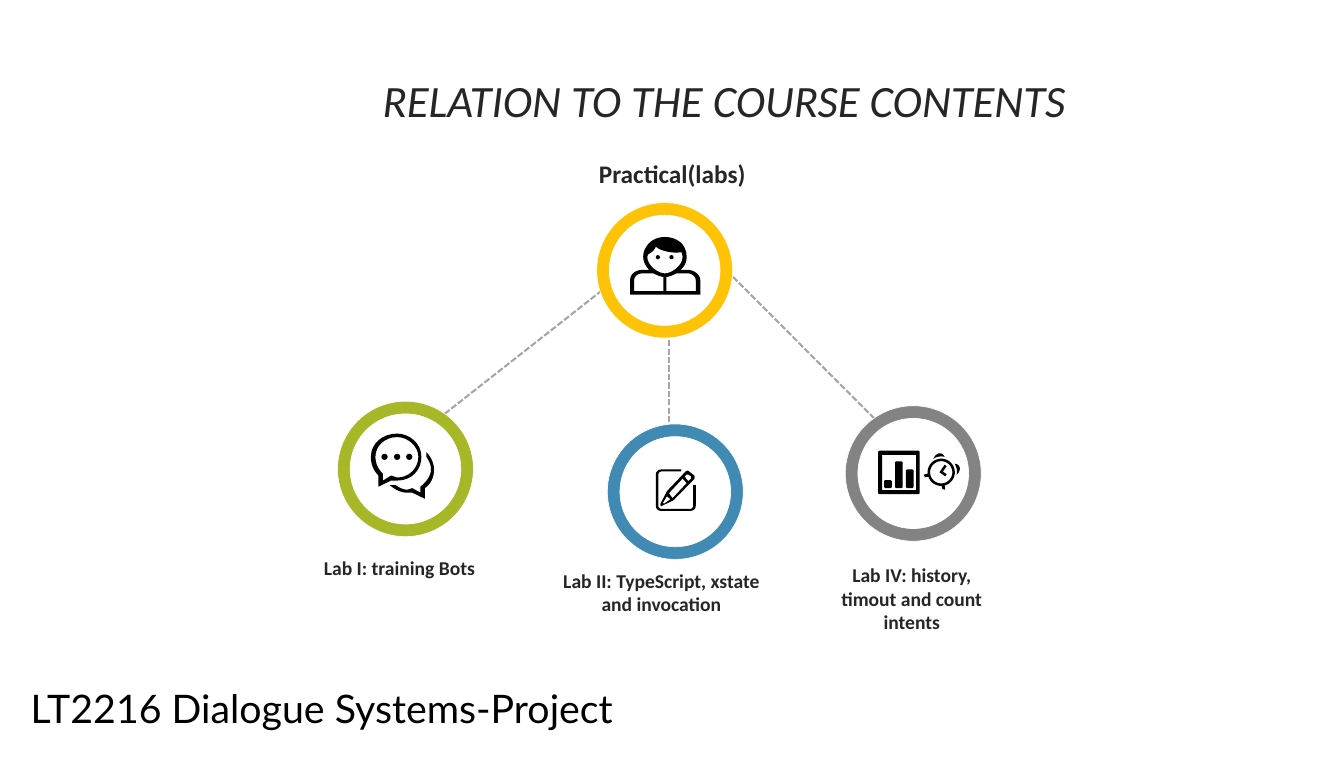
from dataclasses import dataclass
from math import cos, pi, sin

from lxml.etree import SubElement
from pptx import Presentation
from pptx.dml.color import RGBColor
from pptx.enum.dml import MSO_LINE
from pptx.enum.shapes import MSO_CONNECTOR, MSO_SHAPE
from pptx.enum.text import MSO_ANCHOR, MSO_AUTO_SIZE, PP_ALIGN
from pptx.oxml.ns import qn
from pptx.util import Inches, Pt


@dataclass(frozen=True)
class Theme:
    ink: str = "262626"
    black: str = "000000"
    white: str = "FFFFFF"
    dash: str = "A6A6A6"
    yellow: str = "FEC306"
    green: str = "A6B727"
    blue: str = "418AB3"
    gray: str = "838383"
    body_font: str = "Calibri"
    footer_font: str = "Lato"
    title_size: float = 63.8
    footer_size: float = 56
    heading_size: float = 36
    label_size: float = 27.9


THEME = Theme()
RING_SIZE = (2.69, 2.68)
RING_WIDTH = 0.25


def color(value):
    return RGBColor.from_string(value)


def flatten(*steps, samples=8):
    """Turn points and (control, control, end) cubic steps into a list of points."""
    points = []
    for step in steps:
        if len(step) == 2:
            points.append(step)
            continue
        controls = [points[-1], *zip(step[::2], step[1::2])]
        for index in range(1, samples + 1):
            t = index / samples
            weights = ((1 - t) ** 3, 3 * t * (1 - t) ** 2, 3 * t * t * (1 - t), t ** 3)
            points.append(tuple(sum(w * p[axis] for w, p in zip(weights, controls)) for axis in (0, 1)))
    return points


def disc(x, y, radius, samples=40):
    angles = [2 * pi * index / samples for index in range(samples)]
    return [(x + radius * cos(angle), y + radius * sin(angle)) for angle in angles]


def box(left, top, right, bottom, cut=0.02):
    return [(left + cut, top), (right - cut, top), (right, top + cut), (right, bottom - cut),
            (right - cut, bottom), (left + cut, bottom), (left, bottom - cut), (left, top + cut)]


def mirror(points, axis):
    return [(2 * axis - x, y) for x, y in points]


def person_icon():
    silhouette = flatten(
        (13.59, 5.34), (13.47, 5.34), (13.55, 5.27, 13.59, 5.18, 13.59, 5.08),
        (13.59, 4.82, 13.38, 4.69, 13.16, 4.69), (12.99, 4.69, 12.84, 4.77, 12.77, 4.92),
        (12.74, 4.96, 12.73, 5.05, 12.73, 5.08), (12.73, 5.18, 12.78, 5.27, 12.85, 5.34),
        (12.72, 5.34), (12.57, 5.34, 12.47, 5.43, 12.47, 5.55), (12.47, 5.83), (13.86, 5.83),
        (13.86, 5.55), (13.86, 5.43, 13.74, 5.34, 13.59, 5.34))
    face = flatten(
        (12.81, 5.08), (12.83, 5.03), (12.9, 5, 12.95, 4.95, 12.98, 4.88),
        (13.05, 4.95, 13.22, 5, 13.4, 5), (13.49, 4.99), (13.51, 5.08),
        (13.51, 5.26, 13.29, 5.41, 13.16, 5.41), (13.03, 5.41, 12.81, 5.26, 12.81, 5.08))
    shoulder = flatten(
        (12.55, 5.76), (12.55, 5.55), (12.55, 5.47, 12.62, 5.41, 12.72, 5.41), (12.93, 5.41),
        (13.01, 5.45, 13.09, 5.48, 13.13, 5.48), (13.13, 5.76))
    eyes = [disc(x, 5.09, 0.04) for x in (13.02, 13.29)]
    return [silhouette, face, shoulder, mirror(shoulder, 13.16), *eyes]


def chat_icon():
    bubble = flatten(
        (7.74, 9.51), (7.86, 9.51), (8.16, 9.51, 8.34, 9.29, 8.34, 9.04),
        (8.34, 8.77, 8.1, 8.58, 7.86, 8.58), (7.58, 8.58, 7.34, 8.77, 7.34, 9.04),
        (7.34, 9.2, 7.4, 9.32, 7.49, 9.41), (7.49, 9.63))
    opening = flatten(
        (7.43, 9.04), (7.43, 8.83, 7.61, 8.65, 7.86, 8.65), (8.07, 8.65, 8.28, 8.83, 8.28, 9.04),
        (8.28, 9.26, 8.1, 9.45, 7.86, 9.45), (7.74, 9.41), (7.58, 9.51), (7.58, 9.38),
        (7.49, 9.29, 7.43, 9.17, 7.43, 9.04))
    reply = flatten(
        (8.44, 8.95), (8.44, 9.04), (8.5, 9.14, 8.53, 9.2, 8.53, 9.29),
        (8.53, 9.41, 8.44, 9.54, 8.32, 9.63), (8.32, 9.75), (8.16, 9.66), (8.07, 9.69),
        (7.98, 9.69, 7.92, 9.66, 7.83, 9.6), (7.71, 9.6), (7.83, 9.69, 7.92, 9.75, 8.07, 9.75),
        (8.16, 9.75), (8.41, 9.87), (8.41, 9.66), (8.53, 9.57, 8.59, 9.45, 8.59, 9.29),
        (8.59, 9.17, 8.53, 9.04, 8.44, 8.95))
    dots = [disc(x, 9.04, 0.06) for x in (7.61, 7.86, 8.1)]
    return [bubble, opening, reply, *dots]


def edit_icon():
    frame = flatten(
        (13.72, 9.6), (13.72, 10.01), (13.72, 10.03, 13.7, 10.07, 13.66, 10.07), (13.09, 10.07),
        (13.05, 10.07, 13.03, 10.03, 13.03, 10.01), (13.03, 9.39),
        (13.03, 9.37, 13.05, 9.33, 13.09, 9.33), (13.48, 9.33), (13.48, 9.29), (13.09, 9.29),
        (13.03, 9.29, 12.98, 9.33, 12.98, 9.39), (12.98, 10.01),
        (12.98, 10.07, 13.03, 10.11, 13.09, 10.11), (13.66, 10.11),
        (13.72, 10.11, 13.77, 10.07, 13.77, 10.01), (13.77, 9.6))
    pencil = flatten(
        (13.18, 9.76), (13.07, 9.97), (13.07, 10.01, 13.09, 10.03, 13.1, 10.01), (13.33, 9.9),
        (13.74, 9.48), (13.75, 9.47, 13.75, 9.43, 13.74, 9.41), (13.64, 9.33),
        (13.62, 9.31, 13.59, 9.31, 13.57, 9.33), (13.2, 9.72))
    eraser = [(13.59, 9.39), (13.62, 9.39), (13.68, 9.43), (13.68, 9.47), (13.62, 9.52), (13.55, 9.43)]
    shaft = [(13.51, 9.47), (13.59, 9.56), (13.31, 9.86), (13.24, 9.76)]
    tip = [(13.27, 9.88), (13.14, 9.97), (13.12, 9.95), (13.2, 9.82)]
    return [frame, pencil, eraser, shaft, tip]


def bars_icon():
    bars = [box(17.5 + 0.215 * index, top, 17.65 + 0.215 * index, 9.66)
            for index, top in enumerate((9.5, 9.13, 9.29))]
    return [box(17.38, 8.92, 18.2, 9.78), box(17.46, 9, 18.13, 9.7, 0), *bars]


def clock_icon():
    center = 18.64
    ear = flatten((18.36, 9.22), (18.33, 9.08, 18.42, 9, 18.52, 9.06), (18.45, 9.09, 18.39, 9.14, 18.36, 9.22))
    foot = [(18.43, 9.53), (18.48, 9.57), (18.43, 9.61), (18.38, 9.59)]
    hands = [(18.61, 9.19), (18.66, 9.19), (18.66, 9.32), (18.75, 9.32), (18.75, 9.37), (18.61, 9.37)]
    return [disc(center, 9.35, 0.27), disc(center, 9.35, 0.22), hands,
            ear, mirror(ear, center), foot, mirror(foot, center)]


def add_icon(shapes, contours, rotation=0):
    """Draw closed contours as one black outline, where inner contours are holes."""
    contours = [[(Inches(x), Inches(y)) for x, y in contour] for contour in contours]
    builder = shapes.build_freeform(*contours[0][0])
    for index, contour in enumerate(contours):
        if index:
            builder.move_to(*contour[0])
        builder.add_line_segments(contour[1:], close=True)
    shape = builder.convert_to_shape()
    shape.shadow.inherit = False
    shape.fill.solid()
    shape.fill.fore_color.rgb = color(THEME.black)
    shape.line.fill.background()
    shape.rotation = rotation


def add_circle(shapes, left, top, width, height, fill):
    shape = shapes.add_shape(MSO_SHAPE.OVAL, Inches(left), Inches(top), Inches(width), Inches(height))
    shape.shadow.inherit = False
    shape.fill.solid()
    shape.fill.fore_color.rgb = color(fill)
    shape.line.color.rgb = color(THEME.white)
    shape.line.width = Pt(0.88)


def add_node(slide, left, top, fill, *icons):
    """Group a coloured ring with the icons inside it."""
    group = slide.shapes.add_group_shape()
    width, height = RING_SIZE
    add_circle(group.shapes, left, top, width, height, fill)
    add_circle(group.shapes, left + RING_WIDTH, top + RING_WIDTH,
               width - 2 * RING_WIDTH, height - 2 * RING_WIDTH, THEME.white)
    for contours, rotation in icons:
        add_icon(group.shapes, contours, rotation)


def add_dashed_line(slide, start, end):
    connector = slide.shapes.add_connector(MSO_CONNECTOR.STRAIGHT, *map(Inches, start + end))
    connector.line.color.rgb = color(THEME.dash)
    connector.line.width = Pt(3)
    connector.line.dash_style = MSO_LINE.SQUARE_DOT
    SubElement(connector._element.spPr, qn("a:effectLst"))


def write_text(shape, place, lines, size, font=THEME.body_font, ink=THEME.ink,
               align=PP_ALIGN.CENTER, anchor=MSO_ANCHOR.TOP, bold=False, italic=False):
    """Place a text shape and write one paragraph for each line."""
    shape.left, shape.top, shape.width, shape.height = map(Inches, place)
    frame = shape.text_frame
    frame.word_wrap = True
    frame.auto_size = MSO_AUTO_SIZE.SHAPE_TO_FIT_TEXT
    frame.vertical_anchor = anchor
    for index, line in enumerate(lines):
        paragraph = frame.add_paragraph() if index else frame.paragraphs[0]
        paragraph.alignment = align
        run = paragraph.add_run()
        run.text = line
        run.font.name, run.font.size = font, Pt(size)
        run.font.bold, run.font.italic = bold, italic
        run.font.color.rgb = color(ink)


def add_text(slide, place, lines, size, **style):
    write_text(slide.shapes.add_textbox(*map(Inches, place)), place, lines, size, **style)


def main():
    presentation = Presentation()
    presentation.slide_width, presentation.slide_height = Inches(26.6), Inches(15)
    slide = presentation.slides.add_slide(presentation.slide_layouts[5])
    write_text(slide.shapes.title, (6.9, 1.38, 14.87, 1.18), ["RELATION TO THE COURSE CONTENTS"],
               THEME.title_size, italic=True)
    for start, end in (((8.8, 8.19), (11.91, 5.75)), ((13.8, 4.77), (18.39, 9.37)), ((13.24, 6.73), (13.24, 9.78))):
        add_dashed_line(slide, start, end)
    add_text(slide, (11.53, 3.08, 3.55, 0.71), ["Practical(labs)"], THEME.heading_size, bold=True)
    for place, lines in (
            ((6.13, 10.96, 3.55, 0.57), ["Lab I: training Bots"]),
            ((10.79, 11.2, 4.6, 1.04), ["Lab II: TypeScript, xstate and invocation"]),
            ((16.27, 11.1, 3.55, 1.51), ["Lab IV: history, timout and count", "intents"])):
        add_text(slide, place, lines, THEME.label_size, bold=True)
    add_text(slide, (0.51, 13.49, 18.97, 1.04), ["LT2216 Dialogue Systems-Project"], THEME.footer_size,
             font=THEME.footer_font, ink=THEME.black, align=PP_ALIGN.LEFT, anchor=MSO_ANCHOR.MIDDLE)
    add_node(slide, 12.02, 8.39, THEME.blue, (edit_icon(), 0))
    add_node(slide, 16.73, 8.03, THEME.gray, (bars_icon(), 0), (clock_icon(), 34.7))
    add_node(slide, 11.81, 4.01, THEME.yellow, (person_icon(), 0))
    add_node(slide, 6.68, 7.94, THEME.green, (chat_icon(), 0))
    presentation.save("out.pptx")


if __name__ == "__main__":
    main()
